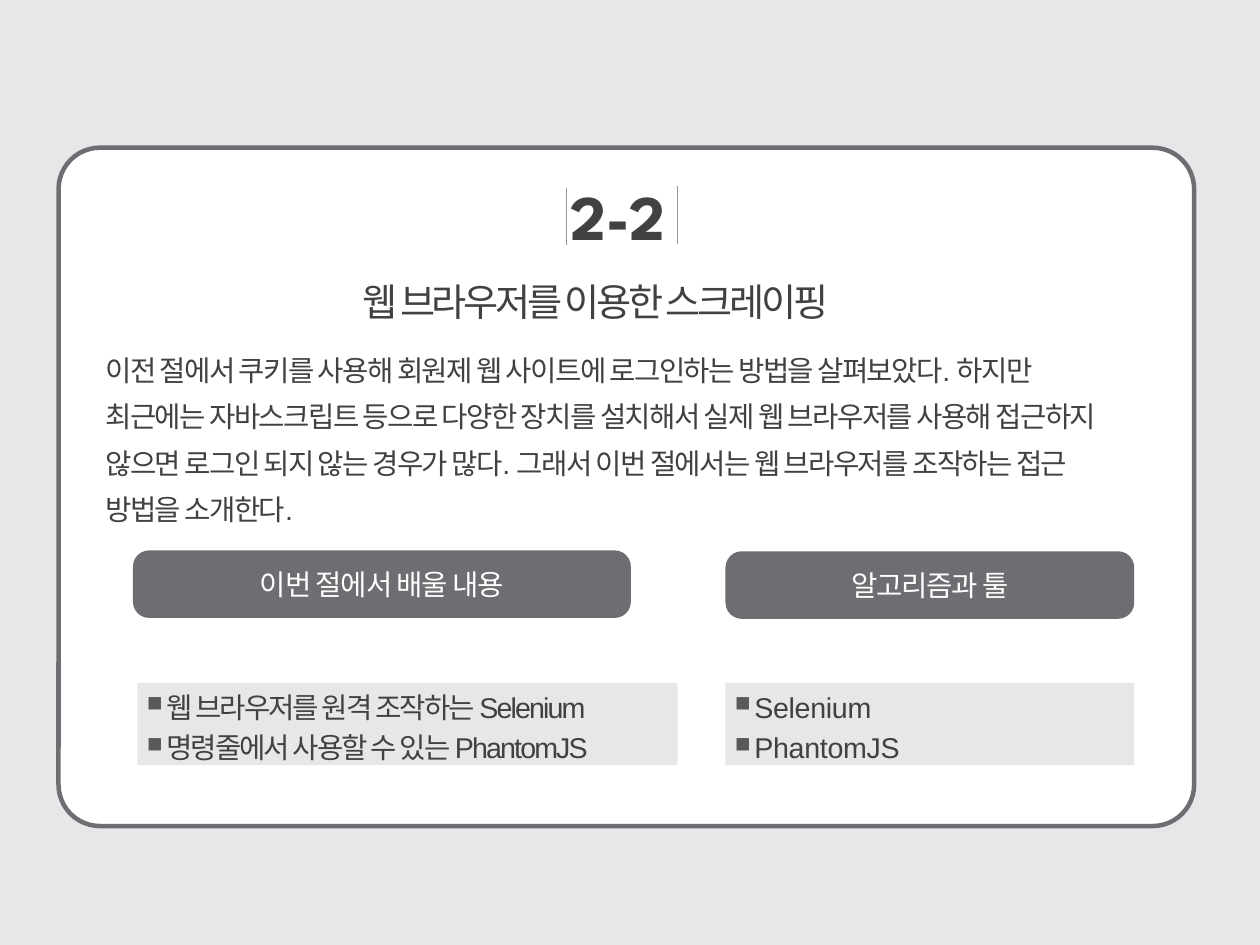
"""Build the opening slide of section 2-2 on scraping with a web browser."""
from lxml.etree import SubElement
from pptx import Presentation
from pptx.dml.color import RGBColor
from pptx.enum.shapes import MSO_CONNECTOR, MSO_SHAPE
from pptx.enum.text import MSO_ANCHOR, MSO_AUTO_SIZE, PP_ALIGN
from pptx.oxml.ns import qn
from pptx.util import Cm, Pt

COLORS = {
    "background": "E6E7E8",
    "panel": "FFFFFF",
    "gray": "6D6E71",
    "rule": "939598",
    "text": "414042",
    "bullet": "58595B",
}
BODY = (
    "이전 절에서 쿠키를 사용해 회원제 웹 사이트에 로그인하는 방법을 살펴보았다. "
    "하지만 최근에는 자바스크립트 등으로 다양한 장치를 설치해서 실제 웹 브라우저를 "
    "사용해 접근하지 않으면 로그인 되지 않는 경우가 많다. 그래서 이번 절에서는 "
    "웹 브라우저를 조작하는 접근 방법을 소개한다."
)
COLUMNS = [
    (2.95, 12.22, 11.05, "이번 절에서 배울 내용", 3.05, 11.99, -1.2,
     ["웹 브라우저를 원격 조작하는 Selenium", "명령줄에서 사용할 수 있는 PhantomJS"]),
    (16.1, 12.24, 9.07, "알고리즘과 툴", 16.1, 9.07, -0.2,
     ["Selenium", "PhantomJS"]),
]


def write(sp, lines, size, spacing, color="text", font="Arial", bold=False,
          align=PP_ALIGN.LEFT, anchor=MSO_ANCHOR.TOP, top=0, line=1.0, bullets=False):
    """Fill a shape with evenly formatted paragraphs."""
    tf = sp.text_frame
    frame = {"word_wrap": True, "auto_size": MSO_AUTO_SIZE.NONE,
             "vertical_anchor": anchor, "margin_left": 0, "margin_right": 0,
             "margin_top": Cm(top), "margin_bottom": 0}
    for name, value in frame.items():
        setattr(tf, name, value)
    for i, text in enumerate(lines):
        p = tf.add_paragraph() if i else tf.paragraphs[0]
        p.alignment, p.line_spacing = align, line
        p.space_before = Pt(4 if i else 0)
        if bullets:
            pPr = p._p.get_or_add_pPr()
            pPr.set("marL", str(Cm(0.64)))
            pPr.set("indent", str(Cm(-0.43)))
            clr = SubElement(pPr, qn("a:buClr"))
            SubElement(clr, qn("a:srgbClr"), val=COLORS["bullet"])
            SubElement(pPr, qn("a:buSzPct"), val="75000")
            SubElement(pPr, qn("a:buChar"), char="■")
        r = p.add_run()
        r.text = text
        for name, value in {"name": font, "size": Pt(size), "bold": bold}.items():
            setattr(r.font, name, value)
        r.font.color.rgb = RGBColor.from_string(COLORS[color])
        r._r.get_or_add_rPr().set("spc", str(round(spacing * 100)))


def add_block(kind, left, top, width, height, fill, radius=0):
    """Add a filled shape without outline or shadow."""
    sp = s.shapes.add_shape(kind, Cm(left), Cm(top), Cm(width), Cm(height))
    sp.shadow.inherit = False
    sp.fill.solid()
    sp.fill.fore_color.rgb = RGBColor.from_string(COLORS[fill])
    sp.line.fill.background()
    if radius:
        sp.adjustments[0] = radius / height
    return sp


prs = Presentation()
prs.slide_width, prs.slide_height = Cm(27.96), Cm(20.98)
s = prs.slides.add_slide(prs.slide_layouts[5])
s.background.fill.solid()
s.background.fill.fore_color.rgb = RGBColor.from_string(COLORS["background"])

panel = add_block(MSO_SHAPE.ROUNDED_RECTANGLE, 1.3, 3.28, 25.2, 15.06, "panel", 0.92)
panel.line.color.rgb = RGBColor.from_string(COLORS["gray"])
panel.line.width = Pt(2.83)

for x, y in [(12.57, 4.17), (15.04, 4.14)]:
    rule = s.shapes.add_connector(MSO_CONNECTOR.STRAIGHT, Cm(x), Cm(y), Cm(x), Cm(y + 1.28))
    rule.line.color.rgb = RGBColor.from_string(COLORS["rule"])
    rule.line.width = Pt(0.5)
    SubElement(rule._element.spPr, qn("a:effectLst"))

number = s.shapes.add_textbox(Cm(12.67), Cm(3.94), Cm(2.64), Cm(1.7))
write(number, ["2-2"], 40, -0.4, font="League Spartan", bold=True)

title = s.shapes.title
place = {"left": 8.05, "top": 6.17, "width": 13.54, "height": 1.02}
for name, value in place.items():
    setattr(title, name, Cm(value))
write(title, ["웹 브라우저를 이용한 스크레이핑"], 24, -2)
s.shapes._spTree.append(title._element)

body = s.shapes.add_textbox(Cm(2.34), Cm(7.57), Cm(22.81), Cm(4.04))
write(body, [BODY], 18, -1, line=1.35)

for left, top, width, heading, list_left, list_width, spacing, items in COLUMNS:
    bar = add_block(MSO_SHAPE.ROUNDED_RECTANGLE, left, top, width, 1.5, "gray", 0.36)
    write(bar, [heading], 18, -0.7, color="panel", font="Courier New",
          align=PP_ALIGN.CENTER, anchor=MSO_ANCHOR.MIDDLE)
    box = add_block(MSO_SHAPE.RECTANGLE, list_left, 15.16, list_width, 1.83, "background")
    write(box, items, 18, spacing, top=0.15, bullets=True)

prs.save("out.pptx")
